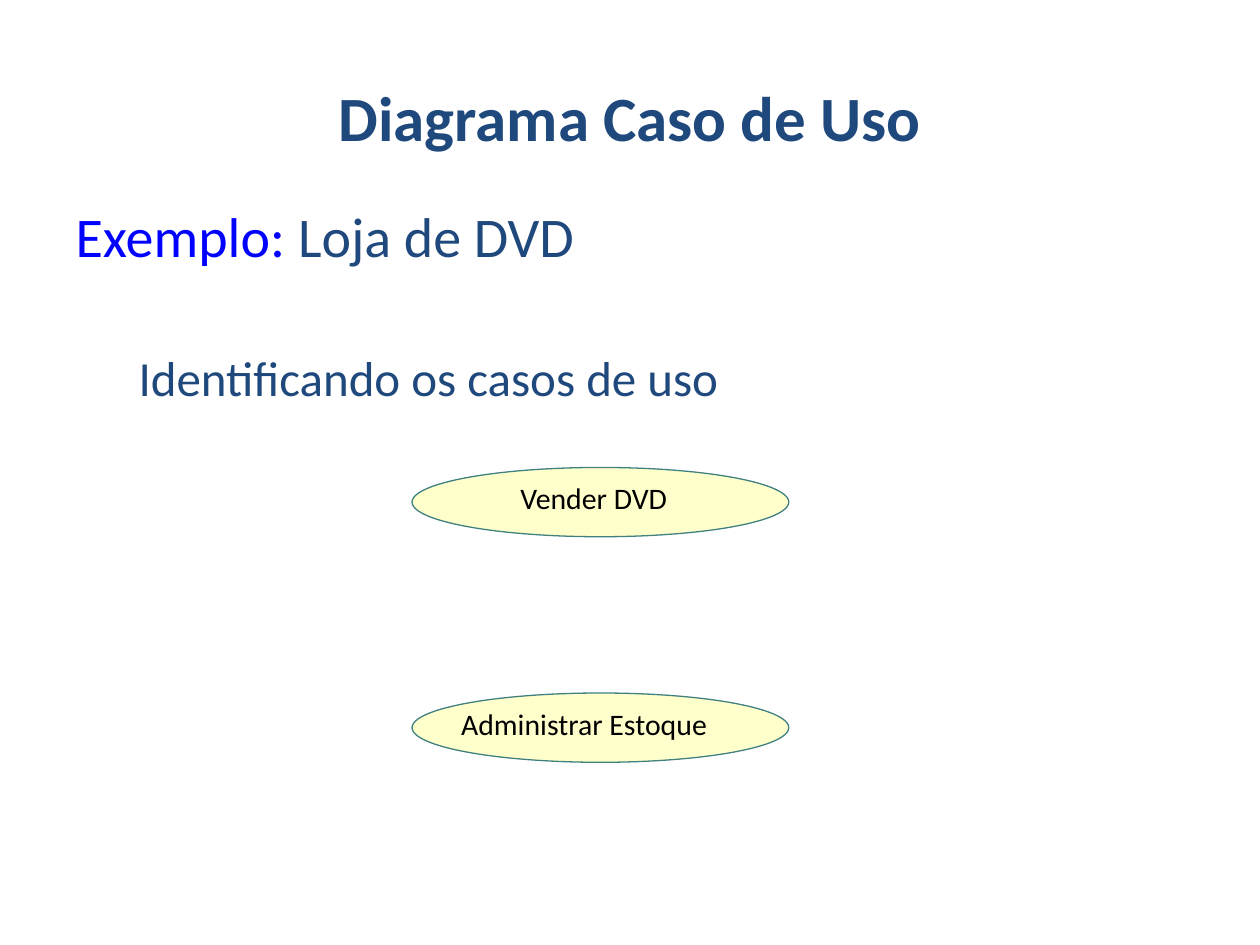
from lxml import etree
from pptx import Presentation
from pptx import util as u
from pptx.dml.color import RGBColor
from pptx.enum import shapes, text
from pptx.oxml import ns

NAVY = RGBColor(0x1F, 0x49, 0x7D)
BLUE = RGBColor(0x00, 0x00, 0xFF)
BLACK = RGBColor(0x00, 0x00, 0x00)
CREAM = RGBColor(0xFF, 0xFF, 0xCC)
TEAL = RGBColor(0x40, 0x80, 0x80)

CASE_LEFT, CASE_WIDTH, CASE_HEIGHT = 3.27, 2.99, 0.55
LABEL_DROP, LABEL_HEIGHT = 0.1, 0.29
USE_CASES = [
    ("Administrar Estoque", 5.5, 3.66, 1.96),
    ("Vender DVD", 3.71, 4.13, 1.17),
]


def place(holder, left, top, width, height):
    """Move and size a placeholder, in inches."""
    box = {"left": left, "top": top, "width": width, "height": height}
    for side, length in box.items():
        setattr(holder, side, u.Inches(length))


def add_words(paragraph, words, size, color, bold=None):
    """Append a formatted run to a paragraph."""
    run = paragraph.add_run()
    run.text = words
    formats = {"name": "Calibri", "size": u.Pt(size), "bold": bold}
    for attribute, value in formats.items():
        setattr(run.font, attribute, value)
    run.font.color.rgb = color


def remove_bullet(paragraph):
    """Switch off the bullet inherited from the template."""
    etree.SubElement(paragraph._p.get_or_add_pPr(), ns.qn("a:buNone"))


def fill_title(heading):
    """Write the slide title."""
    place(heading, 0.5, 0.3, 9, 1.25)
    heading.text_frame.vertical_anchor = text.MSO_ANCHOR.MIDDLE
    line = heading.text_frame.paragraphs[0]
    line.alignment = text.PP_ALIGN.CENTER
    add_words(line, "Diagrama Caso de Uso", 36, NAVY, True)


def fill_body(body):
    """Write the example and its current step."""
    place(body, 0.5, 1.55, 9, 4.95)
    example = body.text_frame.paragraphs[0]
    add_words(example, "Exemplo:", 32, BLUE)
    add_words(example, " Loja de DVD", 32, NAVY)
    step = body.text_frame.add_paragraph()
    step.level = 1
    step.space_before = u.Pt(45)
    add_words(step, "Identificando os casos de uso", 28, NAVY)
    for paragraph in (example, step):
        remove_bullet(paragraph)


def add_use_case(slide, name, top, label_left, label_width):
    """Draw a use-case ellipse with its label."""
    case = slide.shapes.add_shape(
        shapes.MSO_SHAPE.OVAL, u.Inches(CASE_LEFT), u.Inches(top),
        u.Inches(CASE_WIDTH), u.Inches(CASE_HEIGHT))
    case.shadow.inherit = False
    case.fill.solid()
    case.fill.fore_color.rgb = CREAM
    case.line.color.rgb = TEAL
    case.line.width = u.Pt(0)

    label = slide.shapes.add_textbox(
        u.Inches(label_left), u.Inches(top + LABEL_DROP),
        u.Inches(label_width), u.Inches(LABEL_HEIGHT)).text_frame
    formats = {
        "margin_left": 0, "margin_top": 0, "margin_right": 0,
        "margin_bottom": 0, "word_wrap": False,
        "auto_size": text.MSO_AUTO_SIZE.SHAPE_TO_FIT_TEXT,
    }
    for attribute, value in formats.items():
        setattr(label, attribute, value)
    add_words(label.paragraphs[0], name, 17, BLACK)


def main():
    """Build and save the use-case slide."""
    deck = Presentation()
    deck.slide_width, deck.slide_height = u.Inches(10), u.Inches(7.5)
    slide = deck.slides.add_slide(deck.slide_layouts[1])
    fill_title(slide.shapes.title)
    fill_body(slide.placeholders[1])
    for use_case in USE_CASES:
        add_use_case(slide, *use_case)
    deck.save("out.pptx")


if __name__ == "__main__":
    main()
